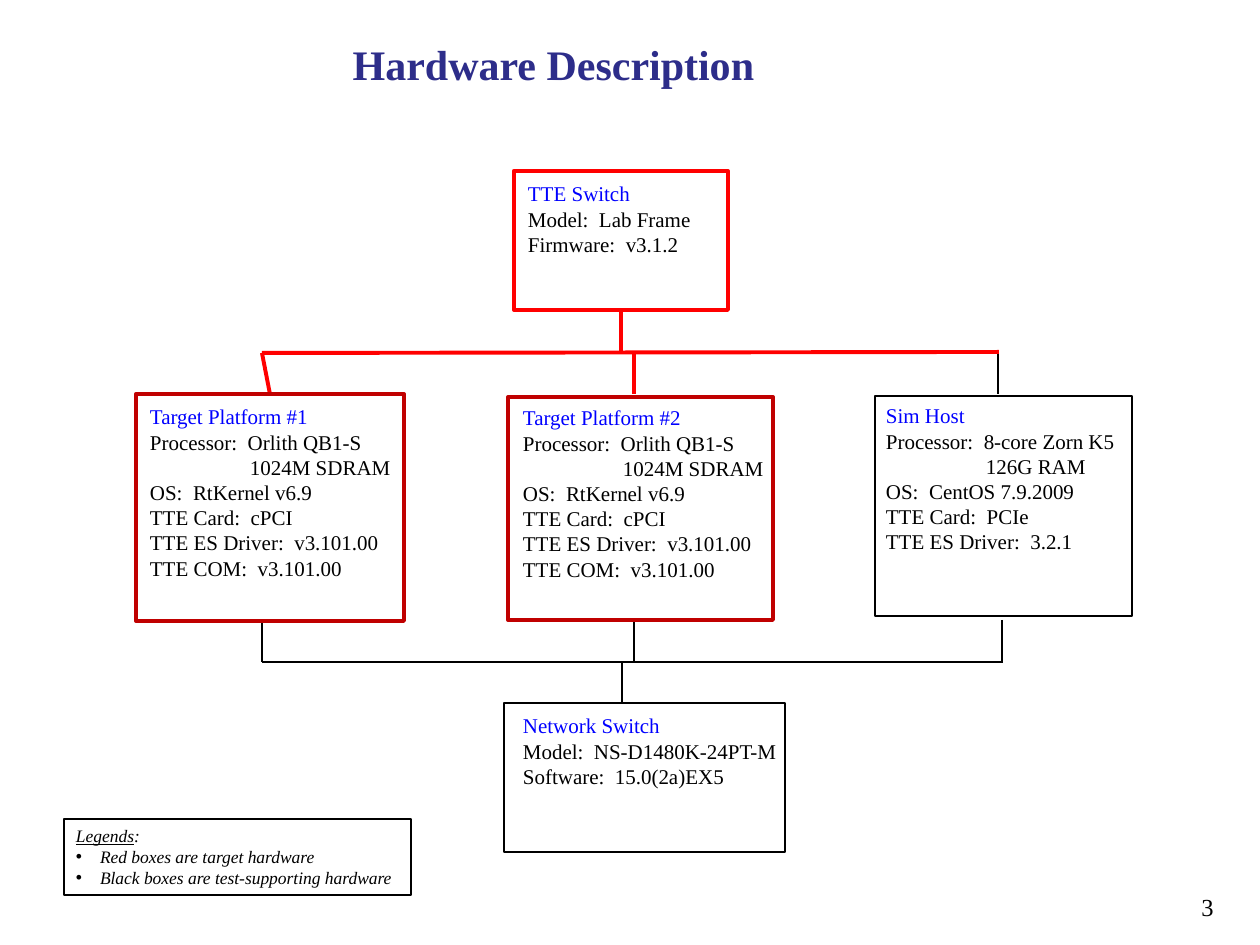
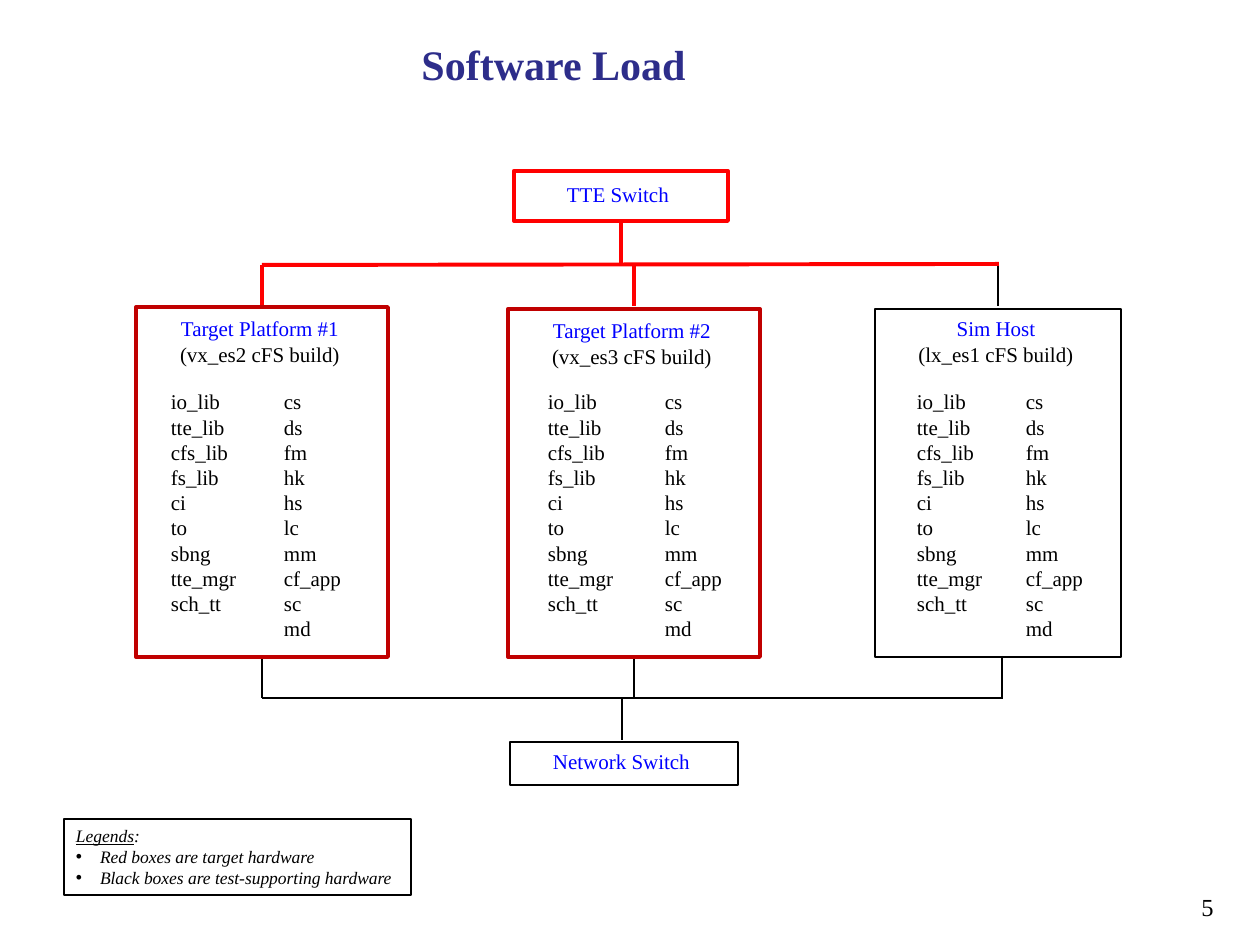
from lxml import etree
from pptx import Presentation
from pptx.dml.color import RGBColor
from pptx.enum.shapes import MSO_CONNECTOR, MSO_SHAPE
from pptx.enum.text import MSO_ANCHOR, PP_ALIGN
from pptx.oxml.ns import qn
from pptx.util import Emu, Pt

SCALE = 914400 // 126
FONT = "Times New Roman"
NAVY = RGBColor(0x2D, 0x2D, 0x8A)
BLUE = RGBColor(0x00, 0x00, 0xFF)
RED = RGBColor(0xFF, 0x00, 0x00)
DARK_RED = RGBColor(0xC0, 0x00, 0x00)
BLACK = RGBColor(0x00, 0x00, 0x00)
LEFT, CENTER = PP_ALIGN.LEFT, PP_ALIGN.CENTER
TOP, MIDDLE = MSO_ANCHOR.TOP, MSO_ANCHOR.MIDDLE
STRAIGHT, RECTANGLE = MSO_CONNECTOR.STRAIGHT, MSO_SHAPE.RECTANGLE

THICK, THIN, HAIRLINE = 2.25, 1, 0.75
INSET, INSET_TOP = 13, 6
BRANCHES = (262, 634, 998)
RETURNS = (262, 634, 1002)
TOP_TRUNK, BOTTOM_TRUNK = 621, 622
STEM = 42

TARGET_LINES = [
    "Processor:  Orlith QB1-S",
    "1024M SDRAM",
    "OS:  RtKernel v6.9",
    "TTE Card:  cPCI",
    "TTE ES Driver:  v3.101.00",
    "TTE COM:  v3.101.00",
]
SIM_LINES = [
    "Processor:  8-core Zorn K5",
    "126G RAM",
    "OS:  CentOS 7.9.2009",
    "TTE Card:  PCIe",
    "TTE ES Driver:  3.2.1",
]
LIBRARIES = ["io_lib", "tte_lib", "cfs_lib", "fs_lib", "ci", "to", "sbng", "tte_mgr", "sch_tt"]
APPS = ["cs", "ds", "fm", "hk", "hs", "lc", "mm", "cf_app", "sc", "md"]


def px(length):
    return Emu(length * SCALE)


def style_run(span, size, color, bold=False, italic=False):
    span.font.name = FONT
    span.font.size = Pt(size)
    span.font.color.rgb = color
    span.font.bold = bold
    span.font.italic = italic


def set_insets(frame, side, top):
    frame.margin_left = frame.margin_right = px(side)
    frame.margin_top = frame.margin_bottom = px(top)
    frame.word_wrap = True


def add_text(page, box, lines, size=12, color=BLACK, first_color=None,
             align=LEFT, anchor=TOP, bold=False, indented=None):
    frame = page.shapes.add_textbox(*map(px, box)).text_frame
    set_insets(frame, 0, 0)
    frame.vertical_anchor = anchor
    frame.text = "\n".join(lines)
    for index, para in enumerate(frame.paragraphs):
        para.alignment = align
        if index == indented:
            para._p.get_or_add_pPr().set("marL", str(px(100)))
        shade = first_color if first_color and index == 0 else color
        for span in para.runs:
            style_run(span, size, shade, bold)


def add_outline(page, box, color, width):
    shape = page.shapes.add_shape(RECTANGLE, *map(px, box))
    shape.shadow.inherit = False
    shape.fill.background()
    shape.line.color.rgb = color
    shape.line.width = Pt(width)
    return shape


def add_line(page, start, end, color, width):
    line = page.shapes.add_connector(STRAIGHT, *map(px, start + end))
    line.line.color.rgb = color
    line.line.width = Pt(width)
    etree.SubElement(line._element.spPr, qn("a:effectLst"))


def add_wiring(page, top_bus, bottom_bus, first_end):
    add_line(page, (TOP_TRUNK, top_bus - STEM), (TOP_TRUNK, top_bus), RED, THICK)
    styles = ((RED, THICK), (RED, THICK), (BLACK, THIN))
    ends = (first_end,) + BRANCHES[1:]
    for start, end, style in zip(BRANCHES, ends, styles):
        add_line(page, (start, top_bus + 1), (end, top_bus + STEM), *style)
    for across in RETURNS:
        add_line(page, (across, bottom_bus - STEM), (across, bottom_bus), BLACK, THIN)
    add_line(page, (BOTTOM_TRUNK, bottom_bus), (BOTTOM_TRUNK, bottom_bus + STEM), BLACK, THIN)
    add_line(page, (BRANCHES[0], top_bus + 1), (BRANCHES[-1] + 1, top_bus), RED, THICK)
    add_line(page, (RETURNS[0], bottom_bus), (RETURNS[-1] + 1, bottom_bus), BLACK, THIN)


def add_legend(page, box):
    shape = add_outline(page, box, BLACK, HAIRLINE)
    frame = shape.text_frame
    set_insets(frame, 12, INSET_TOP)
    frame.vertical_anchor = TOP
    frame.text = "\n".join([
        "Legends",
        "Red boxes are target hardware",
        "Black boxes are test-supporting hardware",
    ])
    heading, *items = frame.paragraphs
    heading.add_run().text = ":"
    heading.runs[0].font.underline = True
    for para in items:
        properties = para._p.get_or_add_pPr()
        properties.set("marL", str(px(24)))
        properties.set("indent", str(-px(24)))
        etree.SubElement(properties, qn("a:buFont"), typeface="Arial")
        etree.SubElement(properties, qn("a:buChar"), char="•")
    for para in frame.paragraphs:
        para.alignment = LEFT
        for span in para.runs:
            style_run(span, 10, BLACK, italic=True)


def add_page(deck, title, number):
    page = deck.slides.add_slide(deck.slide_layouts[6])
    add_text(page, (158, 32, 791, 63), [title], 24, NAVY,
             align=CENTER, anchor=MIDDLE, bold=True)
    add_text(page, (1176, 892, 63, 32), [number], 14, align=CENTER)
    add_legend(page, (64, 819, 347, 76))
    return page


def add_device(page, box, outline, offset, lines, indented=None):
    left, top, width, height = box
    across, down = offset
    add_outline(page, box, *outline)
    text_box = (left + across + INSET, top + down + INSET_TOP, width, height - 2 * INSET_TOP)
    add_text(page, text_box, lines, first_color=BLUE, indented=indented)


def add_build(page, box, outline, heading, heading_shift, column_shifts):
    left, top, width, height = box
    add_outline(page, box, *outline)
    across, down = heading_shift
    add_text(page, (left + across, top + down + INSET_TOP, width, 52), heading,
             first_color=BLUE, align=CENTER)
    for shift, names in zip(column_shifts, (LIBRARIES, APPS)):
        add_text(page, (left + shift + INSET, 389, 90, 255), names)


def add_hardware_page(deck):
    page = add_page(deck, "Hardware Description", "3")
    add_wiring(page, 352, 662, 270)
    add_device(page, (514, 171, 214, 139), (RED, THICK), (1, 4),
               ["TTE Switch", "Model:  Lab Frame", "Firmware:  v3.1.2"])
    add_device(page, (136, 394, 268, 227), (DARK_RED, THICK), (1, 4),
               ["Target Platform #1"] + TARGET_LINES, 2)
    add_device(page, (508, 397, 265, 223), (DARK_RED, THICK), (2, 2),
               ["Target Platform #2"] + TARGET_LINES, 2)
    add_device(page, (875, 396, 257, 220), (BLACK, THIN), (-2, 1),
               ["Sim Host"] + SIM_LINES, 2)
    add_device(page, (504, 703, 281, 149), (BLACK, THIN), (6, 4),
               ["Network Switch", "Model:  NS-D1480K-24PT-M", "Software:  15.0(2a)EX5"])


def add_software_page(deck):
    page = add_page(deck, "Software Load", "5")
    add_wiring(page, 264, 698, BRANCHES[0])
    add_device(page, (514, 171, 214, 50), (RED, THICK), (40, 5), ["TTE Switch"])
    add_build(page, (136, 307, 252, 350), (DARK_RED, THICK),
              ["Target Platform #1", "(vx_es2 cFS build)"], (-2, 3), (22, 135))
    add_build(page, (508, 309, 252, 348), (DARK_RED, THICK),
              ["Target Platform #2", "(vx_es3 cFS build)"], (-2, 3), (27, 144))
    add_build(page, (875, 309, 246, 348), (BLACK, THIN),
              ["Sim Host", "(lx_es1 cFS build)"], (-2, 1), (29, 138))
    add_device(page, (510, 742, 228, 43), (BLACK, THIN), (30, 1), ["Network Switch"])


def main():
    deck = Presentation()
    deck.slide_width = px(1260)
    deck.slide_height = px(945)
    add_hardware_page(deck)
    add_software_page(deck)
    deck.save("out.pptx")


if __name__ == "__main__":
    main()
